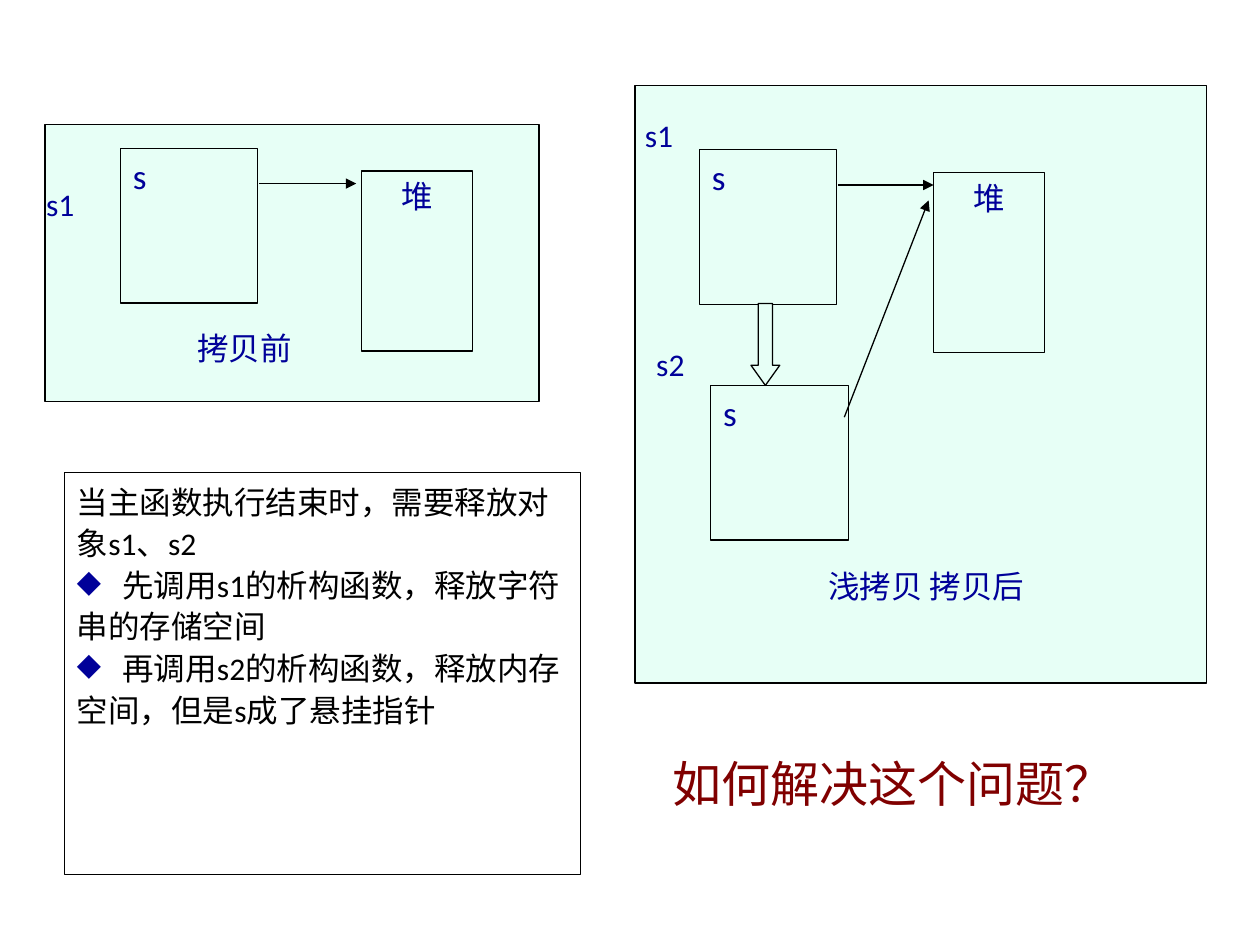
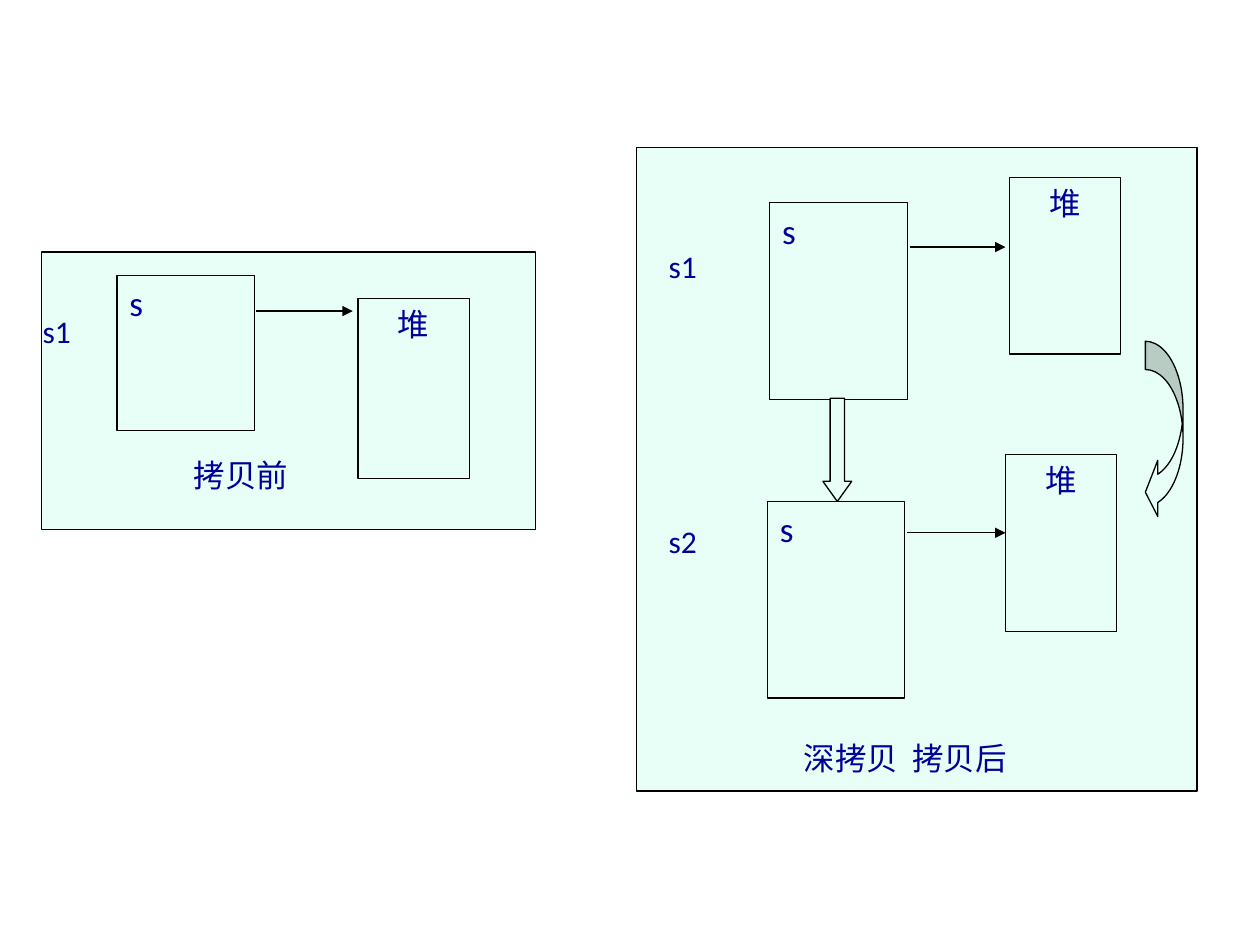
from lxml.etree import SubElement
from pptx import Presentation
from pptx.dml.color import RGBColor
from pptx.enum.shapes import MSO_CONNECTOR, MSO_SHAPE
from pptx.enum.text import MSO_ANCHOR, PP_ALIGN
from pptx.oxml.ns import qn
from pptx.util import Cm, Pt

COLORS = {
    "panel": "E7FFF6",
    "line": "000000",
    "label": "000099",
    "note": "000000",
    "question": "800000",
}
FONT = "Calibri"
LINE_WIDTH = Pt(0.75)
BULLET_TAB = Cm(0.92)

# Sizes shared by the diagrams, in cm
OBJECT_WIDTH, HEAP_WIDTH = 2.77, 2.24
LABEL_SIZE = (1.98, 1.55)
ARROW_WIDTH = 0.58


def color(name):
    return RGBColor.from_string(COLORS[name])


# Text
def write_text(shape, lines, size=18, color_name="label", align=PP_ALIGN.LEFT,
               spacing=None):
    text_frame = shape.text_frame
    text_frame.word_wrap = True
    text_frame.vertical_anchor = MSO_ANCHOR.TOP
    text_frame.text = "\n".join(lines)
    for paragraph in text_frame.paragraphs:
        paragraph.alignment = align
        if spacing:
            paragraph.line_spacing = spacing
        for run in paragraph.runs:
            run.font.name = FONT
            run.font.size = Pt(size)
            run.font.color.rgb = color(color_name)


def add_diamond_bullet(paragraph):
    properties = paragraph._p.get_or_add_pPr()
    properties.set("marL", "0")
    properties.set("indent", "0")
    bullet_color = SubElement(properties, qn("a:buClr"))
    SubElement(bullet_color, qn("a:srgbClr"), val=COLORS["label"])
    SubElement(properties, qn("a:buChar"), char="◆")
    tabs = SubElement(properties, qn("a:tabLst"))
    SubElement(tabs, qn("a:tab"), pos=str(int(BULLET_TAB)), algn="l")


def add_text(shapes, lines, left, top, width, height, **style):
    box = shapes.add_textbox(Cm(left), Cm(top), Cm(width), Cm(height))
    write_text(box, lines, **style)
    return box


def add_label(shapes, text, left, top):
    add_text(shapes, [text], left, top, *LABEL_SIZE)


# Shapes
def add_figure(shapes, left, top, width, height, kind=MSO_SHAPE.RECTANGLE,
               adjustments=(), filled=True):
    shape = shapes.add_shape(kind, Cm(left), Cm(top), Cm(width), Cm(height))
    shape.shadow.inherit = False
    if filled:
        shape.fill.solid()
        shape.fill.fore_color.rgb = color("panel")
    else:
        shape.fill.background()
    shape.line.color.rgb = color("line")
    shape.line.width = LINE_WIDTH
    for index, value in enumerate(adjustments):
        shape.adjustments[index] = value
    return shape


def add_object(shapes, left, top, height):
    shape = add_figure(shapes, left, top, OBJECT_WIDTH, height)
    write_text(shape, ["s"], size=20)


def add_heap(shapes, left, top, height):
    shape = add_figure(shapes, left, top, HEAP_WIDTH, height)
    write_text(shape, ["堆"], align=PP_ALIGN.CENTER)


def add_copy_arrow(shapes, left, top, height):
    add_figure(shapes, left, top, ARROW_WIDTH, height, MSO_SHAPE.DOWN_ARROW,
               (0.5, 0.7))


def add_pointer(shapes, start_x, start_y, end_x, end_y):
    connector = shapes.add_connector(MSO_CONNECTOR.STRAIGHT, Cm(start_x),
                                     Cm(start_y), Cm(end_x), Cm(end_y))
    connector.line.color.rgb = color("line")
    connector.line.width = LINE_WIDTH
    SubElement(connector.line._get_or_add_ln(), qn("a:tailEnd"), type="triangle")
    SubElement(connector._element.spPr, qn("a:effectLst"))


# Diagrams
def add_before_copy(slide, left, top):
    shapes = slide.shapes.add_group_shape().shapes
    add_figure(shapes, left, top, 9.96, 5.59)
    add_object(shapes, left + 1.52, top + 0.48, 3.12)
    add_label(shapes, "s1", left - 0.23, top + 1.09)
    add_heap(shapes, left + 6.38, top + 0.94, 3.63)
    add_pointer(shapes, left + 4.32, top + 1.19, left + 6.27, top + 1.19)
    add_text(shapes, ["拷贝前"], left + 2.82, top + 3.99, 3.94, 1.85)


def add_shallow_copy(slide):
    shapes = slide.shapes.add_group_shape().shapes
    add_figure(shapes, 12.8, 1.73, 11.53, 12.04)
    add_object(shapes, 14.1, 3.02, 3.12)
    add_label(shapes, "s1", 12.75, 2.21)
    add_heap(shapes, 18.82, 3.48, 3.63)
    add_pointer(shapes, 16.89, 3.73, 18.82, 3.73)
    add_object(shapes, 14.33, 7.77, 3.12)
    add_label(shapes, "s2", 12.98, 6.83)
    add_pointer(shapes, 17.02, 8.41, 18.72, 4.04)
    add_copy_arrow(shapes, 15.14, 6.12, 1.65)
    add_text(shapes, ["浅拷贝 拷贝后"], 13.61, 11.3, 10.13, 1.85,
             align=PP_ALIGN.CENTER)


def add_deep_copy(slide):
    shapes = slide.shapes.add_group_shape().shapes
    add_figure(shapes, 12.83, 2.97, 11.3, 12.98)
    add_object(shapes, 15.52, 4.09, 3.96)
    add_heap(shapes, 20.35, 3.58, 3.56)
    add_pointer(shapes, 18.34, 4.98, 20.27, 4.98)
    add_object(shapes, 15.47, 10.11, 3.96)
    add_label(shapes, "s2", 13.23, 10.39)
    add_copy_arrow(shapes, 16.59, 8.03, 2.08)
    add_heap(shapes, 20.27, 9.17, 3.56)
    add_pointer(shapes, 18.29, 10.74, 20.27, 10.74)
    add_figure(shapes, 23.09, 6.88, 0.76, 3.61, MSO_SHAPE.CURVED_LEFT_ARROW,
               (0.75, 1.49, 0.33))
    add_label(shapes, "s1", 13.23, 4.85)
    add_text(shapes, ["深拷贝  拷贝后"], 13.03, 14.78, 10.44, 2.34,
             align=PP_ALIGN.CENTER)


def add_destructor_note(slide):
    note = add_figure(slide.shapes, 1.3, 9.53, 10.41, 8.1, filled=False)
    lines = [
        "当主函数执行结束时，需要释放对象s1、s2",
        "\t先调用s1的析构函数，释放字符串的存储空间",
        "\t再调用s2的析构函数，释放内存空间，但是s成了悬挂指针",
    ]
    write_text(note, lines, color_name="note", spacing=1.1)
    for paragraph in note.text_frame.paragraphs[1:]:
        add_diamond_bullet(paragraph)


def main():
    presentation = Presentation()
    presentation.slide_width = Cm(25.4)
    presentation.slide_height = Cm(19.05)
    blank_layout = presentation.slide_layouts[6]

    # Shallow copy
    slide = presentation.slides.add_slide(blank_layout)
    add_shallow_copy(slide)
    add_before_copy(slide, 0.91, 2.51)
    add_destructor_note(slide)
    add_text(slide.shapes, ["如何解决这个问题？"], 13.31, 14.94, 10.41, 1.55,
             size=28, color_name="question", spacing=1.1)

    # Deep copy
    slide = presentation.slides.add_slide(blank_layout)
    add_before_copy(slide, 0.84, 5.08)
    add_deep_copy(slide)

    presentation.save("out.pptx")


if __name__ == "__main__":
    main()
